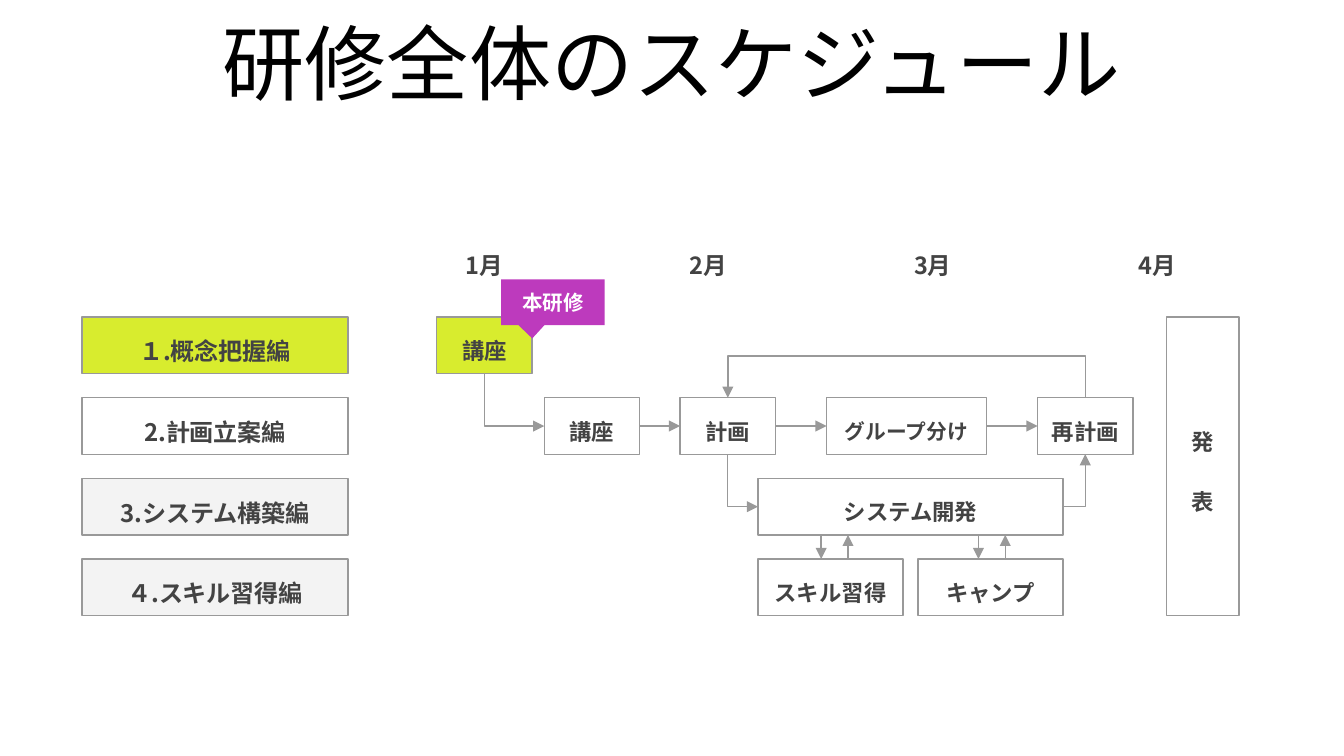
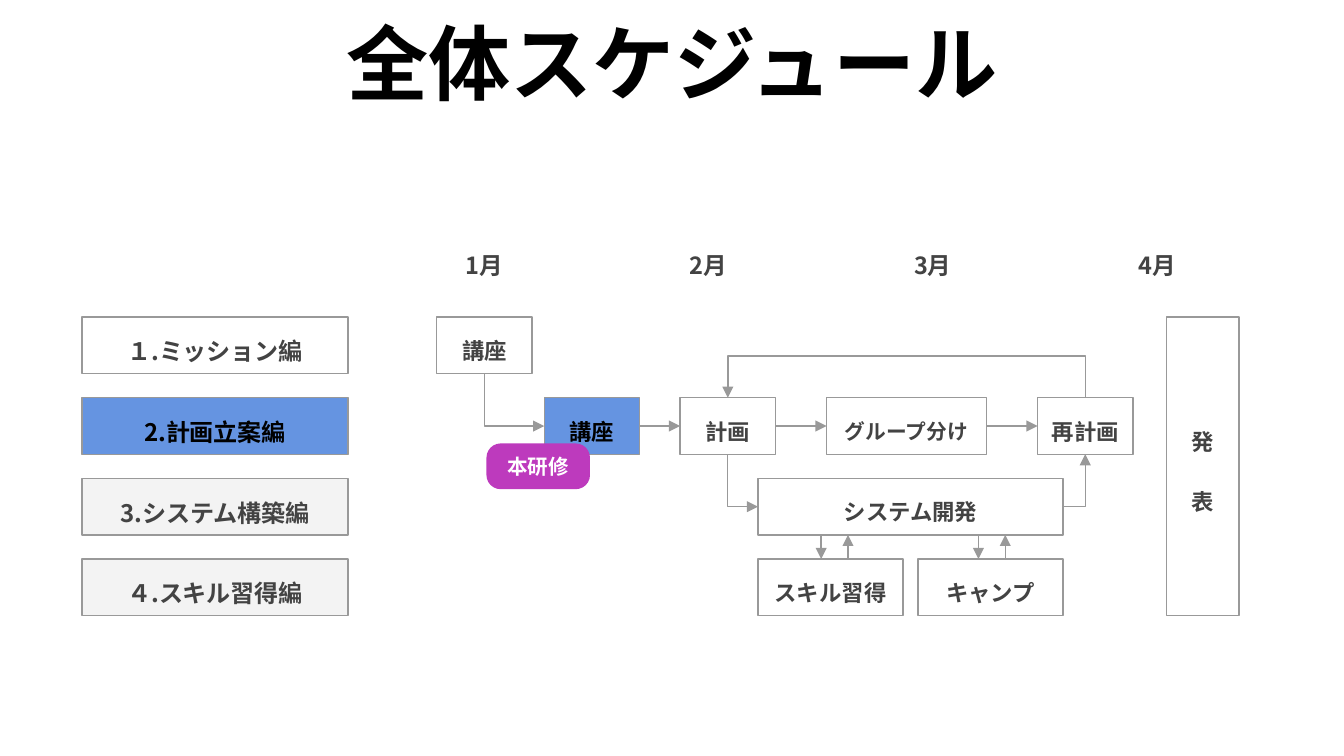
from lxml import etree
from pptx import Presentation
from pptx.dml.color import RGBColor
from pptx.enum.shapes import MSO_CONNECTOR, MSO_SHAPE
from pptx.enum.text import MSO_ANCHOR, MSO_AUTO_SIZE, PP_ALIGN
from pptx.oxml.ns import qn
from pptx.util import Emu, Inches, Pt

RECTANGLE = MSO_SHAPE.RECTANGLE
CALLOUT = MSO_SHAPE.ROUNDED_RECTANGULAR_CALLOUT
ROUNDED = MSO_SHAPE.ROUNDED_RECTANGLE
STRAIGHT, ELBOW = MSO_CONNECTOR.STRAIGHT, MSO_CONNECTOR.ELBOW
MIDDLE, CENTER = MSO_ANCHOR.MIDDLE, PP_ALIGN.CENTER
NO_AUTOFIT = MSO_AUTO_SIZE.NONE
TOP, LEFT, BOTTOM, RIGHT = range(4)

BLACK = RGBColor(0x00, 0x00, 0x00)
WHITE = RGBColor(0xFF, 0xFF, 0xFF)
INK = RGBColor(0x43, 0x43, 0x43)
RULE = RGBColor(0x99, 0x99, 0x99)
PALE = RGBColor(0xF3, 0xF3, 0xF3)
LIME = RGBColor(0xD8, 0xEC, 0x2E)
BLUE = RGBColor(0x65, 0x94, 0xE1)
PURPLE = RGBColor(0xBD, 0x3A, 0xBD)
LATIN_FONT, JAPANESE_FONT = "Arial", "Noto Sans CJK JP"

SCHEDULES = [
    {
        "title": "研修全体のスケジュール", "title_bold": False,
        "stages": ["１.概念把握編", "2.計画立案編", "3.システム構築編", "４.スキル習得編"],
        "current_stage": 0, "current_step": "intro", "accent": LIME, "accent_ink": INK,
        "badge": (CALLOUT, 3.73, 2.08, (-0.2, 0.79, 0)),
    },
    {
        "title": "全体スケジュール", "title_bold": True,
        "stages": ["１.ミッション編", "2.計画立案編", "3.システム構築編", "４.スキル習得編"],
        "current_stage": 1, "current_step": "lecture", "accent": BLUE, "accent_ink": BLACK,
        "badge": (ROUNDED, 3.62, 3.3, (0.31,)),
    },
]
BADGE_TEXT = "本研修"
MONTHS = ["1月", "2月", "3月", "4月"]
STEPS = {
    "intro": ("講座", 0, 3.25, 0.71, 12),
    "lecture": ("講座", 1, 4.05, 0.71, 12),
    "plan": ("計画", 1, 5.06, 0.71, 12),
    "grouping": ("グループ分け", 1, 6.15, 1.19, 11.1),
    "replan": ("再計画", 1, 7.72, 0.71, 12),
    "system": ("システム開発", 2, 5.64, 2.27, 12),
    "skills": ("スキル習得", 3, 5.64, 1.08, 12),
    "camp": ("キャンプ", 3, 6.83, 1.08, 12),
}
STRAIGHT_FLOWS = [("lecture", "plan"), ("plan", "grouping"), ("grouping", "replan")]
CORNER_FLOWS = [
    ("intro", BOTTOM, "lecture", LEFT),
    ("plan", BOTTOM, "system", LEFT),
    ("system", RIGHT, "replan", BOTTOM),
]
EXCHANGES = [6.11, 7.28]
EXCHANGE_GAP = 0.2
PRESENTATION_LINES = ["発", "表"]

SLIDE_WIDTH = Inches(10)
SLIDE_HEIGHT = Emu(SLIDE_WIDTH * 9 // 16)
ROW_TOP, ROW_PITCH, ROW_HEIGHT = 2.36, 0.6, 0.42
MONTH_LEFT, MONTH_PITCH = 3.14, 1.67
LOOP_RISE, LOOP_DEPTH = Inches(0.26), Emu(600)


def row_top(row):
    return ROW_TOP + row * ROW_PITCH


def write(shape, lines, size, color=INK, font=JAPANESE_FONT, bold=True, spacing=1.4, gap=12):
    frame = shape.text_frame
    frame_format = {
        "word_wrap": True, "auto_size": NO_AUTOFIT, "vertical_anchor": MIDDLE,
        "margin_left": Inches(0.1), "margin_right": Inches(0.1),
        "margin_top": Inches(0.1), "margin_bottom": Inches(0.1),
    }
    for name, value in frame_format.items():
        setattr(frame, name, value)
    for index, line in enumerate(lines):
        paragraph = frame.add_paragraph() if index else frame.paragraphs[0]
        paragraph_format = {
            "alignment": CENTER, "line_spacing": spacing,
            "space_before": Pt(gap if index else 0),
            "space_after": Pt(gap if index == len(lines) - 1 else 0),
        }
        for name, value in paragraph_format.items():
            setattr(paragraph, name, value)
        run = paragraph.add_run()
        run.text = line
        for name, value in {"name": font, "size": Pt(size), "bold": bold}.items():
            setattr(run.font, name, value)
        run.font.color.rgb = color
        properties = run.font._element
        etree.SubElement(properties, qn("a:ea"), typeface=JAPANESE_FONT)


def add_box(slide, lines, left, top, width, height, size, fill=None, color=INK):
    box = slide.shapes.add_shape(
        RECTANGLE, Inches(left), Inches(top), Inches(width), Inches(height))
    box.shadow.inherit = False
    if fill is None:
        box.fill.background()
    else:
        box.fill.solid()
        box.fill.fore_color.rgb = fill
    box.line.color.rgb = RULE
    box.line.width = Pt(0.75)
    write(box, lines, size, color)
    return box


def add_arrow(slide, kind, ends=(0, 0, 0, 0), end_tag="a:tailEnd"):
    arrow = slide.shapes.add_connector(kind, *ends)
    arrow.line.color.rgb = RULE
    arrow.line.width = Pt(0.75)
    etree.SubElement(arrow.line._get_or_add_ln(), qn(end_tag), type="triangle")
    etree.SubElement(arrow._element.spPr, qn("a:effectLst"))
    return arrow


def join(arrow, source, source_side, target, target_side):
    arrow.begin_connect(source, source_side)
    arrow.end_connect(target, target_side)


def span(arrow, begin_x, begin_y, end_x, end_y):
    ends = {"begin_x": begin_x, "begin_y": begin_y, "end_x": end_x, "end_y": end_y}
    for name, value in ends.items():
        setattr(arrow, name, int(value))


def add_corner(slide, source, source_side, target, target_side):
    arrow = add_arrow(slide, ELBOW)
    join(arrow, source, source_side, target, target_side)
    arrow._element.spPr.find(qn("a:prstGeom")).set("prst", "bentConnector2")
    if source_side == BOTTOM:
        middle_x = (arrow.begin_x + arrow.end_x) / 2
        middle_y = (arrow.begin_y + arrow.end_y) / 2
        half_x = (arrow.end_x - arrow.begin_x) / 2
        half_y = (arrow.end_y - arrow.begin_y) / 2
        span(arrow, middle_x + half_y, middle_y - half_x,
             middle_x - half_y, middle_y + half_x)
        arrow.rotation = 270


def add_loop(slide, source, target):
    arrow = add_arrow(slide, ELBOW)
    join(arrow, source, TOP, target, TOP)
    middle_x = (arrow.begin_x + arrow.end_x) / 2
    half_x = (arrow.begin_x - arrow.end_x) / 2
    half_depth = LOOP_DEPTH / 2
    level = arrow.begin_y
    span(arrow, middle_x - half_depth, level - half_x, middle_x + half_depth, level + half_x)
    arrow.rotation = 90
    guides = arrow._element.spPr.find(qn("a:prstGeom")).find(qn("a:avLst"))
    bend = round(-LOOP_RISE / LOOP_DEPTH * 100000)
    etree.SubElement(guides, qn("a:gd"), name="adj1", fmla=f"val {bend}")


def add_title(slide, text, bold):
    title = slide.shapes.title
    place = {"left": 0, "top": -0.01, "width": 10, "height": 0.93}
    for name, value in place.items():
        setattr(title, name, Inches(value))
    write(title, [text], 44, BLACK, LATIN_FONT, bold, spacing=1, gap=0)


def add_badge(slide, kind, left, top, adjustments):
    badge = slide.shapes.add_shape(
        kind, Inches(left), Inches(top), Inches(0.77), Inches(0.34))
    badge.shadow.inherit = False
    badge.fill.solid()
    badge.fill.fore_color.rgb = PURPLE
    badge.line.fill.background()
    for index, value in enumerate(adjustments):
        badge.adjustments[index] = value
    write(badge, [BADGE_TEXT], 11, WHITE, LATIN_FONT, spacing=1, gap=0)


def add_schedule(deck, schedule):
    slide = deck.slides.add_slide(deck.slide_layouts[5])
    accent = {"fill": schedule["accent"], "color": schedule["accent_ink"]}
    add_title(slide, schedule["title"], schedule["title_bold"])

    for row, stage in enumerate(schedule["stages"]):
        plain = {"fill": PALE if row > 1 else None}
        look = accent if row == schedule["current_stage"] else plain
        add_box(slide, [stage], 0.61, row_top(row), 1.98, ROW_HEIGHT, 12.9, **look)

    for index, month in enumerate(MONTHS):
        label = slide.shapes.add_textbox(
            Inches(MONTH_LEFT + index * MONTH_PITCH), Inches(1.72),
            Inches(0.92), Inches(ROW_HEIGHT))
        write(label, [month], 12.6)

    steps = {}
    for key, (text, row, left, width, size) in STEPS.items():
        look = accent if key == schedule["current_step"] else {}
        steps[key] = add_box(
            slide, [text], left, row_top(row), width, ROW_HEIGHT, size, **look)
    add_box(slide, PRESENTATION_LINES, 8.68, ROW_TOP, 0.54, 3 * ROW_PITCH + ROW_HEIGHT, 12)

    for source, target in STRAIGHT_FLOWS:
        join(add_arrow(slide, STRAIGHT), steps[source], RIGHT, steps[target], LEFT)
    for source, source_side, target, target_side in CORNER_FLOWS:
        add_corner(slide, steps[source], source_side, steps[target], target_side)
    add_loop(slide, steps["replan"], steps["plan"])

    upper, lower = row_top(2) + ROW_HEIGHT, row_top(3)
    for left in EXCHANGES:
        for x, end_tag in ((left, "a:tailEnd"), (left + EXCHANGE_GAP, "a:headEnd")):
            ends = [Inches(value) for value in (x, upper, x, lower)]
            add_arrow(slide, STRAIGHT, ends, end_tag)

    add_badge(slide, *schedule["badge"])


def main():
    deck = Presentation()
    deck.slide_width = SLIDE_WIDTH
    deck.slide_height = SLIDE_HEIGHT
    for schedule in SCHEDULES:
        add_schedule(deck, schedule)
    deck.save("out.pptx")


if __name__ == "__main__":
    main()
